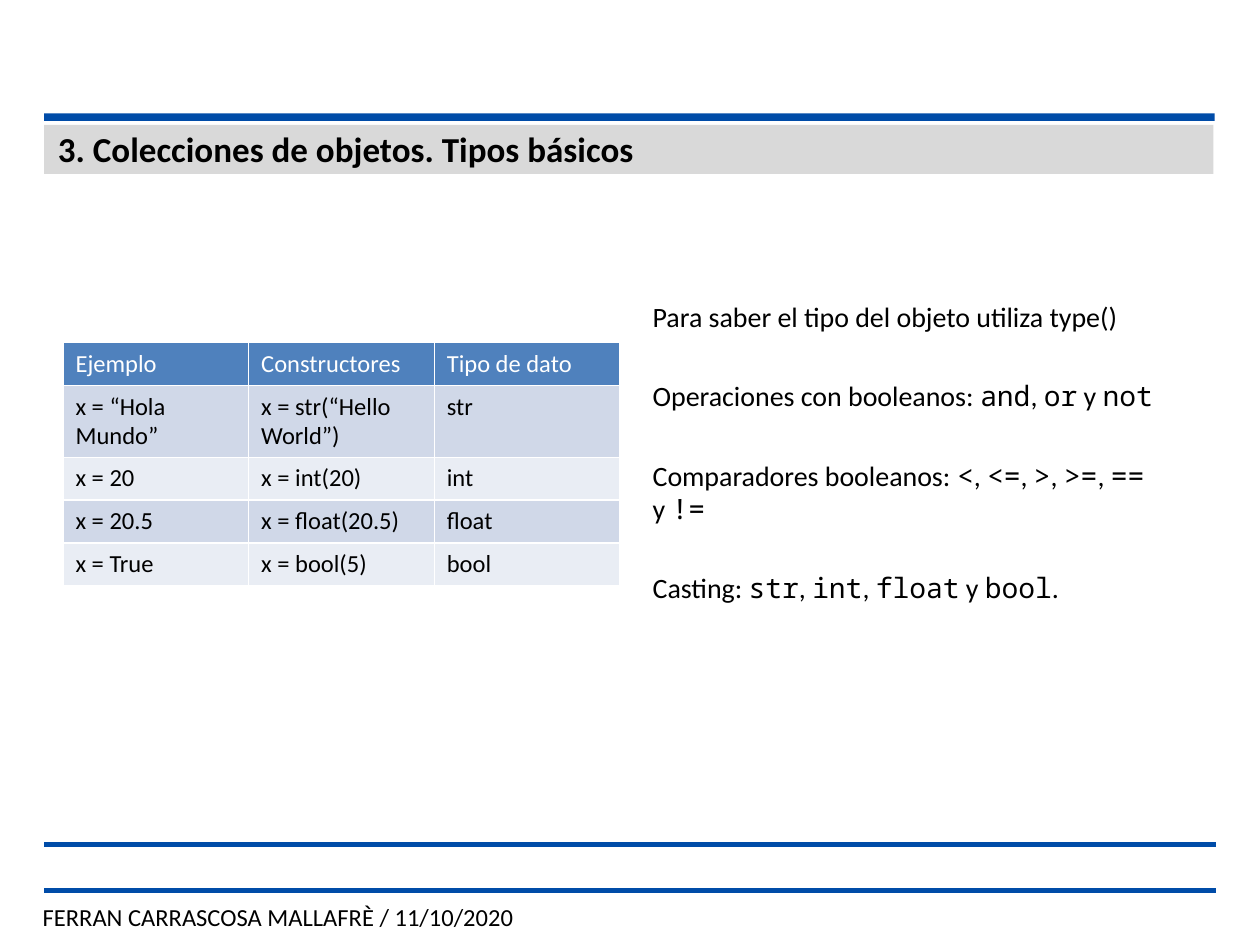
from lxml.etree import SubElement
from pptx import Presentation
from pptx.dml.color import RGBColor
from pptx.enum.shapes import MSO_CONNECTOR as Connector, MSO_SHAPE as Shape
from pptx.enum.text import MSO_ANCHOR as Anchor, MSO_AUTO_SIZE as AutoSize, PP_ALIGN as Align
from pptx.oxml.ns import qn
from pptx.util import Inches, Pt

THEME = {
    "blue": RGBColor.from_string("004CA8"),
    "gray": RGBColor.from_string("D9D9D9"),
    "header": RGBColor.from_string("4F81BD"),
    "bands": [RGBColor.from_string("E9EDF4"), RGBColor.from_string("D0D8E8")],
    "black": RGBColor.from_string("000000"),
    "white": RGBColor.from_string("FFFFFF"),
    "title": Pt(20), "body": Pt(16), "small": Pt(14),
    "text": "Calibri", "code": "Noto Sans Mono",
}


def write(para, text, size, color=THEME["black"], bold=False):
    for index, part in enumerate(text.split("`")):
        if part:
            span = para.add_run()
            span.text = part
            name = THEME["code"] if index % 2 else THEME["text"]
            for key, value in {"name": name, "size": size, "bold": bold}.items():
                setattr(span.font, key, value)
            span.font.color.rgb = color


def place(item, left, top, width, height):
    for key, value in zip(("left", "top", "width", "height"), (left, top, width, height)):
        setattr(item, key, Inches(value))


deck = Presentation()
deck.slide_width, deck.slide_height = Inches(10), Inches(7.5)
page = deck.slides.add_slide(deck.slide_layouts[1])
title, body = page.shapes.title, page.placeholders[1]

bars = [(0.35, 0.9, 9.29, 0.06, "blue"), (0.35, 0.99, 9.28, 0.39, "gray")]
for *area, color in bars:
    bar = page.shapes.add_shape(Shape.RECTANGLE, *map(Inches, area))
    bar.shadow.inherit = False
    bar.fill.solid()
    bar.fill.fore_color.rgb = THEME[color]
    bar.line.fill.background()
    page.shapes._spTree.insert(2 + bars.index((*area, color)), bar._element)

for height in (6.7, 7.07):
    rule = page.shapes.add_connector(
        Connector.STRAIGHT, Inches(0.35), Inches(height), Inches(9.65), Inches(height))
    rule.line.color.rgb = THEME["blue"]
    rule.line.width = Pt(3)
    SubElement(rule._element.spPr, qn("a:effectLst"))

footer = page.shapes.add_textbox(Inches(0.24), Inches(7.11), Inches(8.36), Inches(0.34))
footer.text_frame.word_wrap = True
write(footer.text_frame.paragraphs[0], "FERRAN CARRASCOSA MALLAFRÈ / 11/10/2020", THEME["small"])

place(title, 0.36, 0.96, 9.29, 0.44)
for key, value in {"vertical_anchor": Anchor.MIDDLE, "auto_size": AutoSize.NONE}.items():
    setattr(title.text_frame, key, value)
heading = title.text_frame.paragraphs[0]
heading.alignment = Align.LEFT
write(heading, "3. Colecciones de objetos. Tipos básicos", THEME["title"], bold=True)

rows = [
    ("Ejemplo", "Constructores", "Tipo de dato"),
    ("x = “Hola Mundo”", "x = str(“Hello World”)", "str"),
    ("x = 20", "x = int(20)", "int"),
    ("x = 20.5", "x = float(20.5)", "float"),
    ("x = True", "x = bool(5)", "bool"),
]
heights = [0.34, 0.57, 0.34, 0.34, 0.34]
table = page.shapes.add_table(
    len(rows), 3, Inches(0.5), Inches(2.72), Inches(4.42), Inches(sum(heights))).table
for row, (texts, height) in enumerate(zip(rows, heights)):
    table.rows[row].height = Inches(height)
    for column, text in enumerate(texts):
        cell = table.cell(row, column)
        cell.fill.solid()
        cell.fill.fore_color.rgb = THEME["bands"][row % 2] if row else THEME["header"]
        write(cell.text_frame.paragraphs[0], text, THEME["small"],
              THEME["black"] if row else THEME["white"])

place(body, 5.08, 1.39, 4.42, 5.31)
frame = body.text_frame
for key, value in {"margin_top": Inches(0.99), "auto_size": AutoSize.NONE,
                   "vertical_anchor": Anchor.TOP, "word_wrap": True}.items():
    setattr(frame, key, value)
notes = [
    "Para saber el tipo del objeto utiliza type()",
    "Operaciones con booleanos: `and`, `or` y `not`",
    "Comparadores booleanos: `<`, `<=`, `>`, `>=`, `==` y `!=`",
    "Casting: `str`, `int`, `float` y `bool`.",
]
for index, text in enumerate(notes):
    para = frame.add_paragraph() if index else frame.paragraphs[0]
    para.space_before = Pt(26 if index else 0)
    props = para._p.get_or_add_pPr()
    props.set("marL", "0")
    props.set("indent", "0")
    SubElement(props, qn("a:buNone"))
    write(para, text, THEME["body"])

deck.save("out.pptx")
